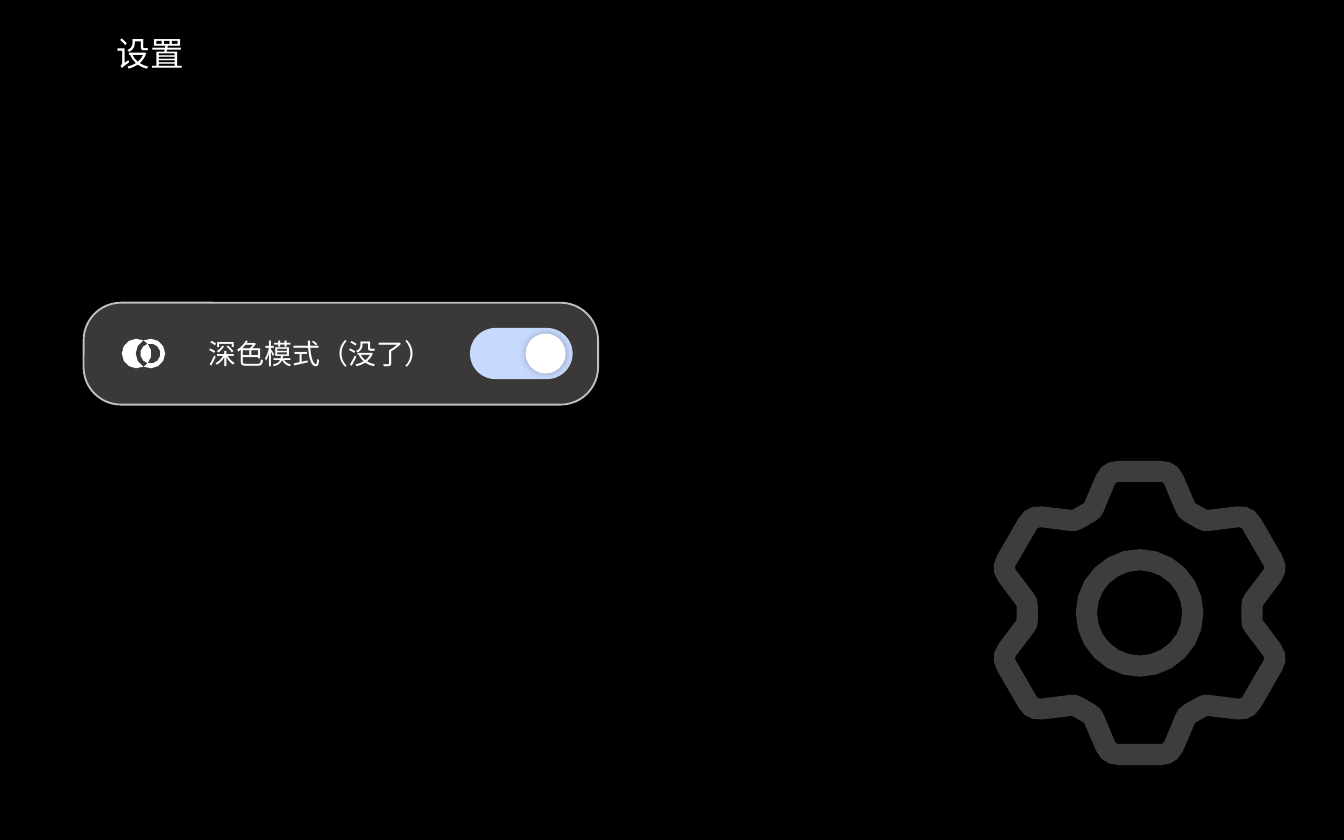
import math

from lxml import etree
from pptx import Presentation
from pptx.dml import color
from pptx.enum import shapes, text
from pptx.oxml import ns
from pptx.util import Pt

COLORS = {
    "page": "000000",
    "card": "3B3838",
    "border": "C0C0C0",
    "track": "C7D9FD",
    "light": "FFFFFF",
    "shade": "00001E",
}
FONT = "Roboto"
UNITS = 100


def rgb(name):
    return color.RGBColor.from_string(COLORS[name])


def add_alpha(node, percent):
    etree.SubElement(node, ns.qn("a:alpha"), val=str(percent * 1000))


def paint(shape, fill, alpha=None, border=None):
    shape.shadow.inherit = False
    shape.fill.solid()
    shape.fill.fore_color.rgb = rgb(fill)
    if alpha:
        add_alpha(shape._element.spPr.find(".//" + ns.qn("a:srgbClr")), alpha)
    if border:
        shape.line.color.rgb = rgb(border)
        shape.line.width = Pt(1)
    else:
        shape.line.fill.background()


def add_rounded(parent, left, top, width, height, rounding):
    shape = parent.shapes.add_shape(
        shapes.MSO_SHAPE.ROUNDED_RECTANGLE, Pt(left), Pt(top), Pt(width), Pt(height))
    shape.adjustments[0] = rounding
    return shape


def write(box, content, size):
    para = box.text_frame.paragraphs[0]
    para.text = content
    para.alignment = text.PP_ALIGN.LEFT
    span = para.runs[0]
    span.font.name = FONT
    span.font.size = Pt(size)
    span.font.color.rgb = rgb("light")
    return para


def draw_outline(page, contours, fill, alpha=None):
    scaled = [[(round(x * UNITS), round(y * UNITS)) for x, y in contour]
              for contour in contours]
    builder = page.shapes.build_freeform(*scaled[0][0], scale=Pt(1) / UNITS)
    builder.add_line_segments(scaled[0][1:], close=True)
    for contour in scaled[1:]:
        builder.move_to(*contour[0])
        builder.add_line_segments(contour[1:], close=True)
    paint(builder.convert_to_shape(), fill, alpha)


def arc(x, y, radius, start, end, step=30):
    count = max(1, round(abs(end - start) / step))
    angles = [math.radians(start + (end - start) * i / count) for i in range(count + 1)]
    return [(x + radius * math.cos(a), y + radius * math.sin(a)) for a in angles]


def circle(x, y, radius):
    return arc(x, y, radius, 0, 360, 15)[:-1]


def bend(start, control, end, steps):
    return [tuple((1 - t) ** 2 * a + 2 * t * (1 - t) * b + t * t * c
                  for a, b, c in zip(start, control, end))
            for t in (i / steps for i in range(steps + 1))]


def gear_contour(x, y, half_tooth):
    tooth = [(-dx, dy) for dx, dy in reversed(half_tooth)] + half_tooth
    points = []
    for index in range(6):
        turn = math.radians(60 * index)
        cos, sin = math.cos(turn), math.sin(turn)
        points += [(x + dx * cos - dy * sin, y + dx * sin + dy * cos)
                   for dx, dy in tooth]
    return points


def add_title(page, left, top, width, height):
    box = page.shapes.add_textbox(Pt(left), Pt(top), Pt(width), Pt(height))
    box.text_frame.word_wrap = True
    write(box, "设置", 18)


def add_corner_tile(page, left, top, width, height):
    paint(add_rounded(page, left, top, width, height, 0.252), "page", 56)


def add_gear(page, left, top, width, height):
    x, y = left + width / 2, top + height / 2
    outer = bend((11.5, -81.5), (19.9, -81.5), (23.3, -73.8), 3) + [(29.7, -58.9)]
    inner = ([(11.8, -70.2), (13.1, -69.2)]
             + bend((19.4, -54.2), (20.6, -51), (23.8, -49.2), 2))
    contours = [
        gear_contour(x, y, outer),
        gear_contour(x, y, inner)[::-1],
        circle(x, y, 34.2),
        circle(x, y, 22.8)[::-1],
    ]
    draw_outline(page, contours, "light", 24)


def add_rings_icon(page, left, top, width, height):
    radius, hole = height / 2, height * 0.34
    y = top + radius
    near, far = left + radius, left + width - radius
    crescent = arc(near, y, radius, 63, 297) + arc(far, y, radius, 243, 117)[1:-1]
    ring = (arc(far, y, radius, -117, 117) + arc(near, y, radius, 41, 41)[:1]
            + arc(far, y, hole, 106, 254)[1:-1] + arc(near, y, radius, -41, -41)[:1])
    opening = arc(near, y, radius, -41, 41) + arc(far, y, hole, 106, -106)[1:-1]
    draw_outline(page, [crescent, ring, opening], "light")


def add_toggle(page, left, top, width, height):
    toggle = page.shapes.add_group_shape()
    paint(add_rounded(toggle, left, top, width, height, 0.5), "track")
    size, inset = 21.4, 3.8
    knob = toggle.shapes.add_shape(
        shapes.MSO_SHAPE.OVAL, Pt(left + width - inset - size),
        Pt(top + (height - size) / 2), Pt(size), Pt(size))
    paint(knob, "light")
    effects = knob._element.spPr.find(ns.qn("a:effectLst"))
    shadow = etree.SubElement(effects, ns.qn("a:outerShdw"),
                              blurRad=str(Pt(4)), dist="0", dir="0", algn="ctr")
    shade = etree.SubElement(shadow, ns.qn("a:srgbClr"), val=COLORS["shade"])
    add_alpha(shade, 25)


def add_setting(page, left, top, width, height):
    card = add_rounded(page, left, top, width, height, 0.368)
    paint(card, "card", border="border")
    card.text_frame.vertical_anchor = text.MSO_ANCHOR.MIDDLE
    para = write(card, "\t深色模式（没了）", 15)
    stops = etree.SubElement(para._p.get_or_add_pPr(), ns.qn("a:tabLst"))
    etree.SubElement(stops, ns.qn("a:tab"), pos=str(Pt(54)), algn="l")
    add_rings_icon(page, left + 20.5, top + 19.3, 23.2, 15.8)
    add_toggle(page, left + 207, top + 13.5, 55, 27.4)


def main():
    deck = Presentation()
    deck.slide_width, deck.slide_height = Pt(720), Pt(450)
    page = deck.slides.add_slide(deck.slide_layouts[6])
    page.background.fill.solid()
    page.background.fill.fore_color.rgb = rgb("page")
    add_title(page, 55.4, 14.1, 58.3, 28.8)
    add_corner_tile(page, 19.4, 12.2, 31, 31)
    add_gear(page, 532.3, 246.8, 156.4, 163.2)
    add_setting(page, 44.8, 162.2, 275.6, 54.6)
    deck.save("out.pptx")


if __name__ == "__main__":
    main()
